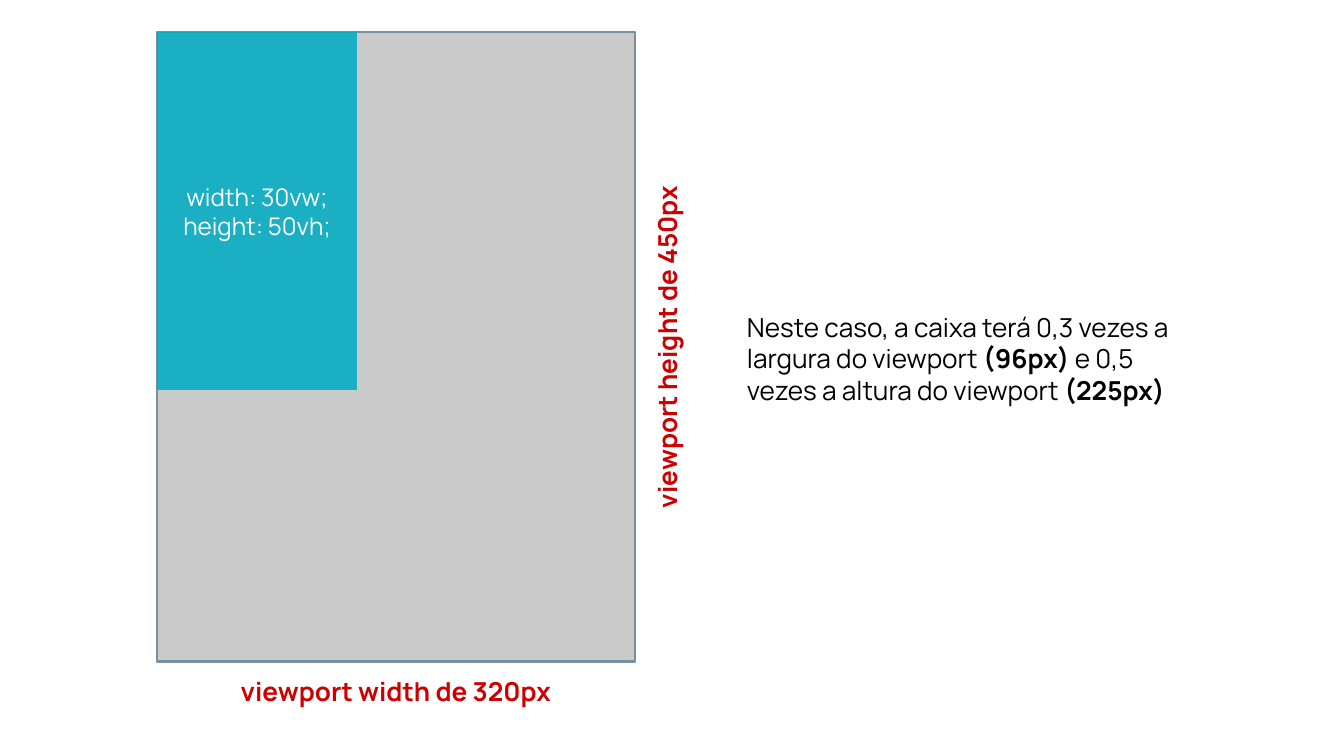
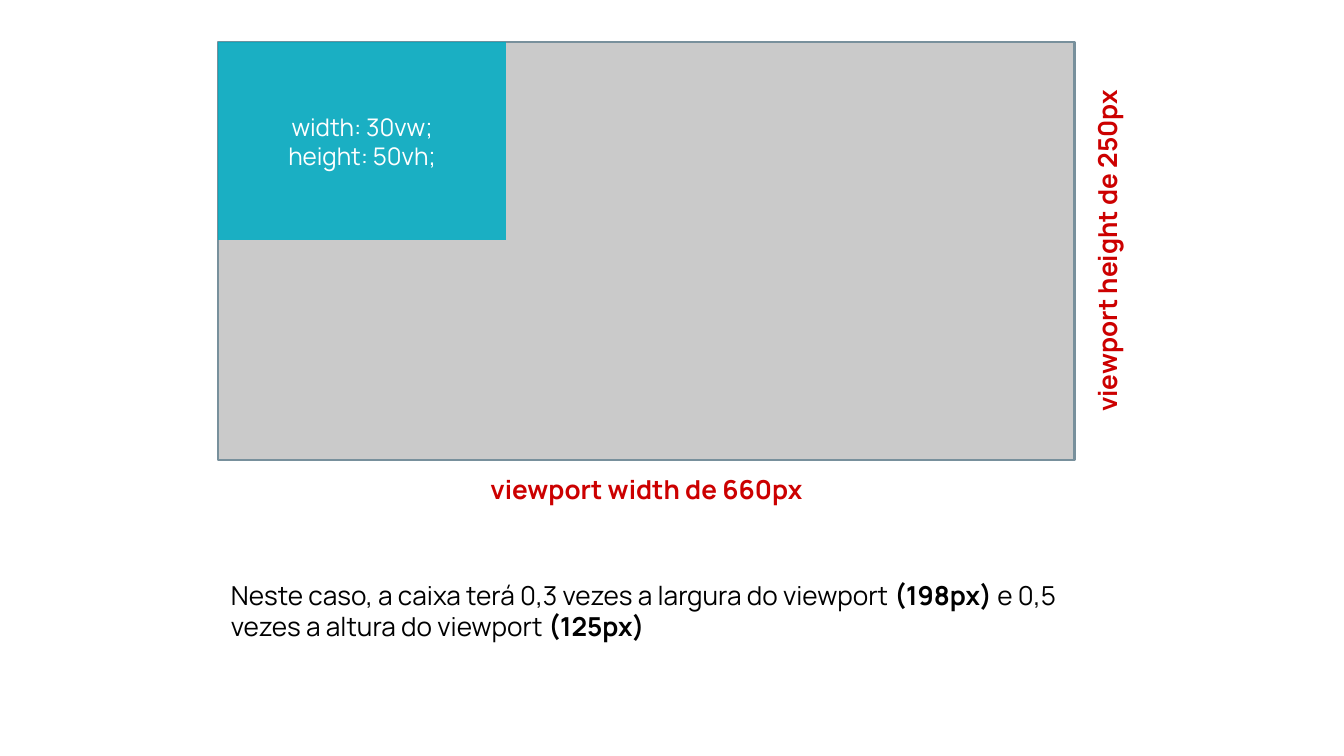
import pptx
import pptx.util
import pptx.dml.color
import pptx.enum.shapes
import pptx.enum.text
import lxml.etree

RGB = pptx.dml.color.RGBColor
ALIGN = pptx.enum.text.PP_ALIGN
ANCHOR = pptx.enum.text.MSO_ANCHOR

# Content: places are left, top, width, height in px
CODE = ["width: 30vw;", "height: 50vh;"]
SLIDES = [
    {
        "frame": (157, 32, 478, 630),
        "box": (200, 358),
        "wide": "viewport width de 320px",
        "high": "viewport height de 450px",
        "note": (734, 73, 454, 571),
        "foot": 13,
        "text": [
            ("Neste caso, a caixa terá 0,3 vezes a largura do viewport ", False),
            ("(96px)", True),
            (" e 0,5 vezes a altura do viewport", False),
            (" (225px)", True),
        ],
    },
    {
        "frame": (218, 42, 857, 418),
        "box": (288, 198),
        "wide": "viewport width de 660px",
        "high": "viewport height de 250px",
        "note": (218, 548, 857, 157),
        "foot": 45,
        "text": [
            ("Neste caso, a caixa terá 0,3 vezes a largura do viewport ", False),
            ("(198px)", True),
            (" e 0,5 vezes a altura do viewport ", False),
            ("(125px)", True),
        ],
    },
]

# Shared style
FONT = "Manrope"
GREY = RGB(0xCA, 0xCA, 0xCA)
SLATE = RGB(0x78, 0x90, 0x9C)
TEAL = RGB(0x00, 0xAC, 0xC3)
RED = RGB(0xCC, 0x00, 0x00)
BLACK = RGB(0x00, 0x00, 0x00)
WHITE = RGB(0xFF, 0xFF, 0xFF)
PAGE = (1344, 756)
INSET = 13
LABEL = 469  # length of both red labels
WIDE_H, HIGH_H = 62, 68
SIDE = 37  # frame edge to middle of the upright label


def px(num):
    return pptx.util.Emu(round(num * 914400 / 134.4))


def rect(slide, place, fill):
    kind = pptx.enum.shapes.MSO_SHAPE.RECTANGLE
    shape = slide.shapes.add_shape(kind, *map(px, place))
    shape.shadow.inherit = False
    shape.fill.solid()
    shape.fill.fore_color.rgb = fill
    shape.line.fill.background()
    return shape


def write(shape, lines, size, color, align, anchor, foot=INSET):
    """Each line is a list of (text, bold) runs."""
    frame = shape.text_frame
    frame.word_wrap = True
    frame.vertical_anchor = anchor
    frame.margin_left = frame.margin_right = frame.margin_top = px(INSET)
    frame.margin_bottom = px(foot)
    for i, line in enumerate(lines):
        para = frame.add_paragraph() if i else frame.paragraphs[0]
        para.alignment = align
        para.font.name = FONT
        para.font.size = pptx.util.Pt(size)
        para.font.color.rgb = color
        for text, bold in line:
            run = para.add_run()
            run.text = text
            run.font.bold = bold


def label(slide, text, mid_x, mid_y, height, turn=0):
    place = (mid_x - LABEL / 2, mid_y - height / 2, LABEL, height)
    shape = slide.shapes.add_textbox(*map(px, place))
    shape.rotation = turn
    write(shape, [[(text, True)]], 14, RED, ALIGN.CENTER, ANCHOR.TOP)


def build(slide, data):
    left, top, width, height = data["frame"]

    # Viewport
    view = rect(slide, data["frame"], GREY)
    view.line.color.rgb = SLATE
    view.line.width = pptx.util.Pt(1.5)

    # Box in its corner, slightly see-through
    box = rect(slide, (left, top, *data["box"]), TEAL)
    tint = box.fill._xPr.find(".//" + pptx.oxml.ns.qn("a:srgbClr"))
    lxml.etree.SubElement(tint, pptx.oxml.ns.qn("a:alpha"), val="87000")
    lines = [[(text, False)] for text in CODE]
    write(box, lines, 13, WHITE, ALIGN.CENTER, ANCHOR.MIDDLE)

    # Labels below and beside the viewport
    label(slide, data["wide"], left + width / 2,
          top + height + WIDE_H / 2, WIDE_H)
    label(slide, data["high"], left + width + SIDE,
          top + height / 2, HIGH_H, 270)

    # Explanation
    note = slide.shapes.add_textbox(*map(px, data["note"]))
    write(note, [data["text"]], 14, BLACK, ALIGN.LEFT, ANCHOR.MIDDLE,
          data["foot"])


def main():
    deck = pptx.Presentation()
    deck.slide_width, deck.slide_height = map(px, PAGE)
    for data in SLIDES:
        build(deck.slides.add_slide(deck.slide_layouts[6]), data)
    deck.save("out.pptx")


if __name__ == "__main__":
    main()
